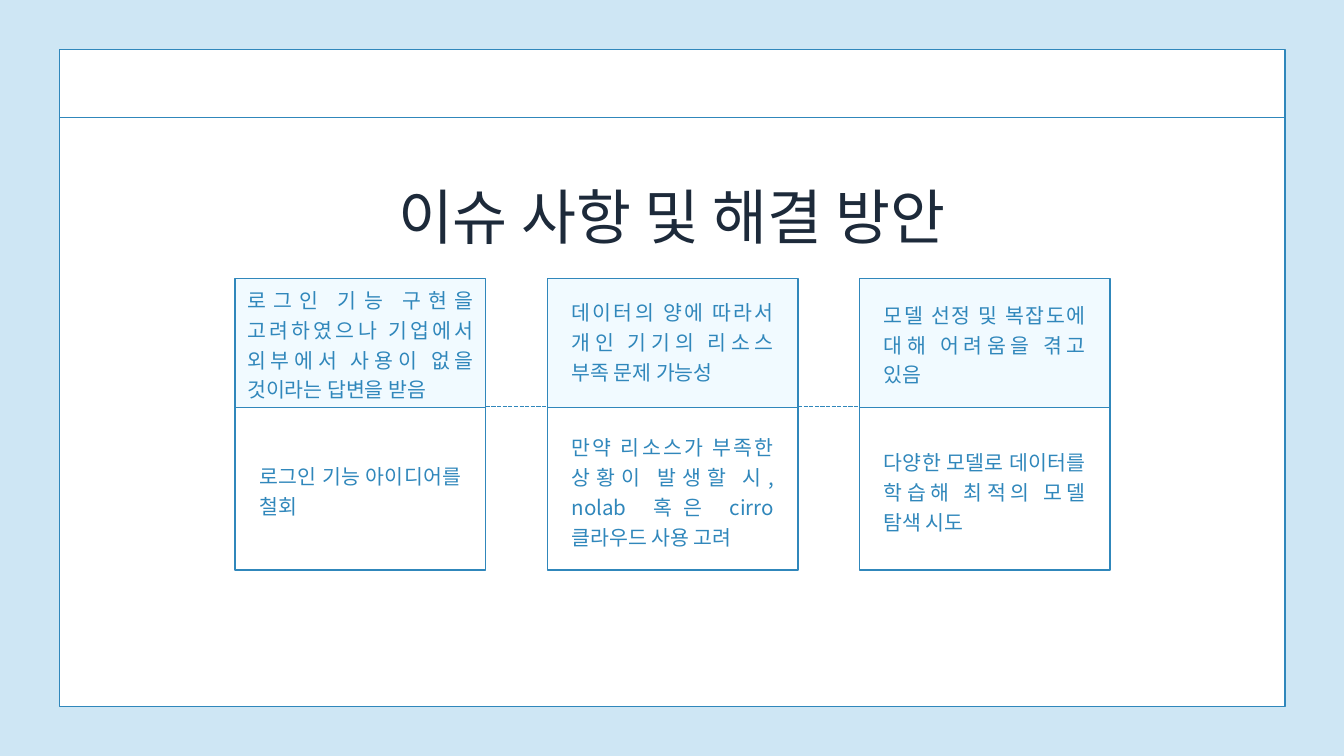
from lxml import etree
from pptx import Presentation
from pptx.enum import dml, shapes, text
from pptx.oxml import ns
from pptx.util import Inches, Pt
from pptx.dml.color import RGBColor

FONT = "Noto Sans CJK KR"
COLORS = {
    "background": "CEE6F4",
    "panel": "FFFFFF",
    "issue": "F1FAFF",
    "accent": "3087BB",
    "title": "1D2A3A",
}
CARD_LEFT, CARD_STEP, CARD_WIDTH = 3.5, 4.645, 3.73
ISSUE_TOP, ISSUE_HEIGHT = 4.14, 1.92
SOLUTION_TOP, SOLUTION_HEIGHT = 6.03, 2.45

# Each text is followed by its top, height and side margin within the card.
CARDS = [
    (("로그인 기능 구현을 고려하였으나 기업에서 외부에서 사용이 없을 것이라는 답변을 받음", 4.21, 1.77, 0.18),
     ("로그인 기능 아이디어를 철회", 6.83, 0.87, 0.36)),
    (("데이터의 양에 따라서 개인 기기의 리소스 부족 문제 가능성", 4.39, 1.3, 0.36),
     ("만약 리소스가 부족한 상황이 발생할 시, nolab 혹은 cirro 클라우드 사용 고려", 6.4, 1.74, 0.36)),
    (("모델 선정 및 복잡도에 대해 어려움을 겪고 있음", 4.43, 1.3, 0.36),
     ("다양한 모델로 데이터를 학습해 최적의 모델 탐색 시도", 6.62, 1.3, 0.36)),
]


def rgb(name):
    return RGBColor.from_string(COLORS[name])


def add_panel(slide, left, top, width, height, fill="panel"):
    panel = slide.shapes.add_shape(
        shapes.MSO_SHAPE.RECTANGLE,
        Inches(left), Inches(top), Inches(width), Inches(height))
    panel.shadow.inherit = False
    panel.fill.solid()
    panel.fill.fore_color.rgb = rgb(fill)
    panel.line.color.rgb = rgb("accent")
    panel.line.width = Pt(1.5)


def add_rule(slide, start, end, y, dash=None):
    rule = slide.shapes.add_connector(
        shapes.MSO_CONNECTOR.STRAIGHT,
        Inches(start), Inches(y), Inches(end), Inches(y))
    rule.line.color.rgb = rgb("accent")
    rule.line.width = Pt(1.5)
    if dash:
        rule.line.dash_style = dash
    etree.SubElement(rule._element.spPr, ns.qn("a:effectLst"))


def add_text(slide, content, left, top, width, height, *, size=22,
             spacing=31.9, color="accent", align=text.PP_ALIGN.JUSTIFY):
    box = slide.shapes.add_textbox(
        Inches(left), Inches(top), Inches(width), Inches(height))
    frame = box.text_frame
    frame.word_wrap = True
    frame.margin_left = frame.margin_right = 0
    frame.margin_top = frame.margin_bottom = 0
    paragraph = frame.paragraphs[0]
    paragraph.alignment = align
    paragraph.line_spacing = Pt(spacing)
    run = paragraph.add_run()
    run.text = content
    run.font.size = Pt(size)
    run.font.color.rgb = rgb(color)
    run.font.name = FONT
    # Korean glyphs take the East Asian typeface.
    etree.SubElement(run.font._element, ns.qn("a:ea"), typeface=FONT)


def add_card(slide, left, issue, solution):
    """Stack an issue on its solution."""
    add_panel(slide, left, SOLUTION_TOP, CARD_WIDTH, SOLUTION_HEIGHT)
    add_panel(slide, left, ISSUE_TOP, CARD_WIDTH, ISSUE_HEIGHT, "issue")
    for content, top, height, margin in (issue, solution):
        add_text(slide, content, left + margin, top,
                 CARD_WIDTH - 2 * margin, height)


def main():
    deck = Presentation()
    deck.slide_width, deck.slide_height = Inches(20), Inches(11.25)
    slide = deck.slides.add_slide(deck.slide_layouts[6])
    slide.background.fill.solid()
    slide.background.fill.fore_color.rgb = rgb("background")

    add_panel(slide, 0.89, 0.74, 18.23, 9.77)
    add_rule(slide, 0.89, 19.11, 1.75)
    add_text(slide, "이슈 사항 및 해결 방안", 5.65, 2.5, 8.7, 1.19, size=64,
             spacing=89.6, color="title", align=text.PP_ALIGN.CENTER)

    lefts = [CARD_LEFT + i * CARD_STEP for i in range(len(CARDS))]
    for left, following in zip(lefts, lefts[1:]):
        add_rule(slide, left + CARD_WIDTH, following, 6.05,
                 dml.MSO_LINE.SQUARE_DOT)
    for left, (issue, solution) in zip(lefts, CARDS):
        add_card(slide, left, issue, solution)

    deck.save("out.pptx")


if __name__ == "__main__":
    main()
